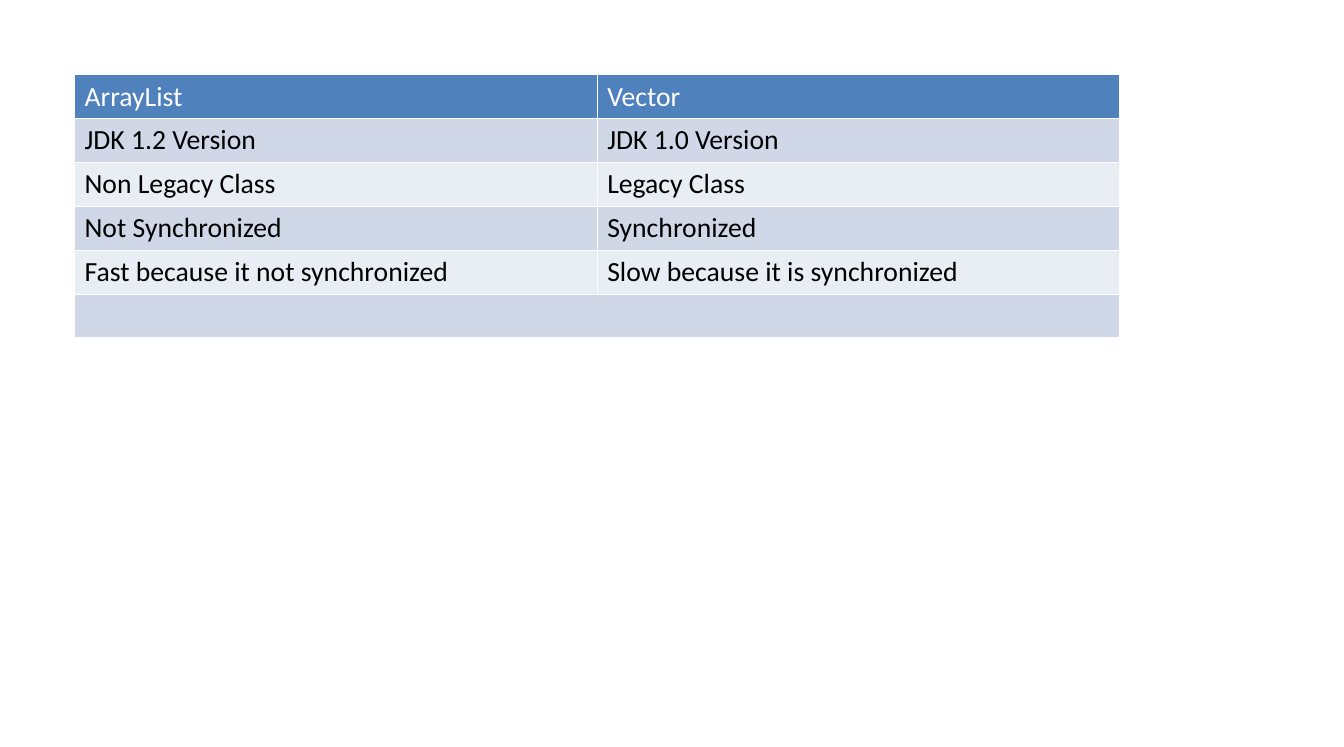
from pptx import Presentation
from pptx.dml.color import RGBColor as RGB
from pptx.util import Inches, Pt

COLS, ROWS = 18, 10
HEADER, BANDS = "4F81BD", ("E9EDF4", "D0D8E8")
COMPARISON = [
    ("ArrayList", "Vector"),
    ("JDK 1.2 Version", "JDK 1.0 Version"),
    ("Non Legacy Class", "Legacy Class"),
    ("Not Synchronized", "Synchronized"),
    ("Fast because it not synchronized", "Slow because it is synchronized"),
    ("", ""),
]


def color(target, value):
    target.rgb = RGB.from_string(value)


def fill_cell(cell, text, background, ink):
    cell.fill.solid()
    color(cell.fill.fore_color, background)
    p = cell.text_frame.paragraphs[0]
    p.text = text
    p.font.name, p.font.size, p.font.bold = "Calibri", Pt(20), False
    color(p.font.color, ink)


def comparison_table(s, box, rows):
    left, top, width, height = box
    table = s.shapes.add_table(len(rows), len(rows[0]), left, top, width, height).table
    for i, row in enumerate(rows):
        background, ink = (BANDS[i % 2], "000000") if i else (HEADER, "FFFFFF")
        for j, text in enumerate(row):
            fill_cell(table.cell(i, j), text, background, ink)
    last = len(rows) - 1
    table.cell(last, 0).merge(table.cell(last, len(rows[0]) - 1))


prs = Presentation()
prs.slide_width, prs.slide_height = Inches(13.5), Inches(7.5)
col, row = prs.slide_width // COLS, prs.slide_height // ROWS
s = prs.slides.add_slide(prs.slide_layouts.get_by_name("Blank"))
comparison_table(s, (col, row, 14 * col, int(3.5 * row)), COMPARISON)
prs.save("out.pptx")
